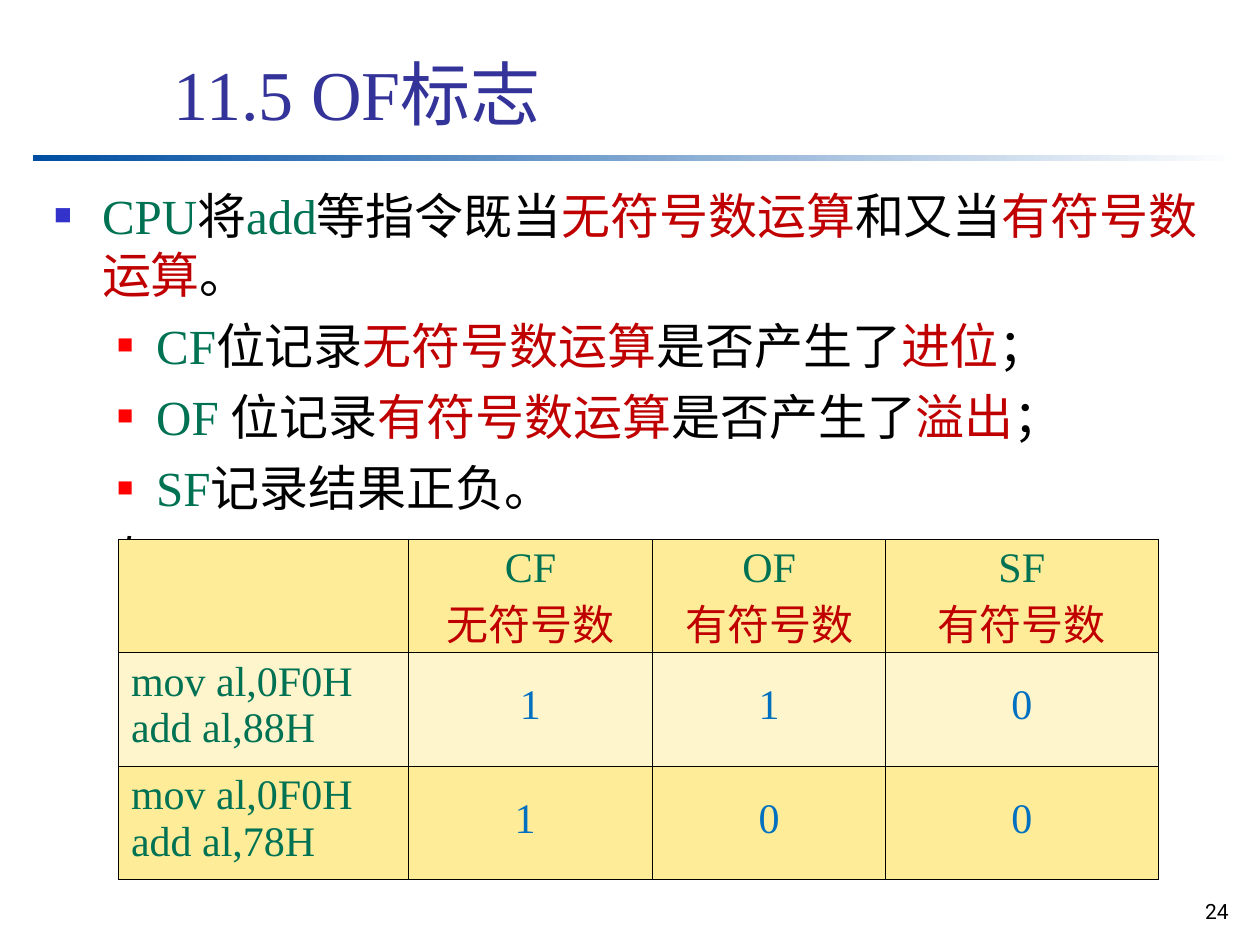
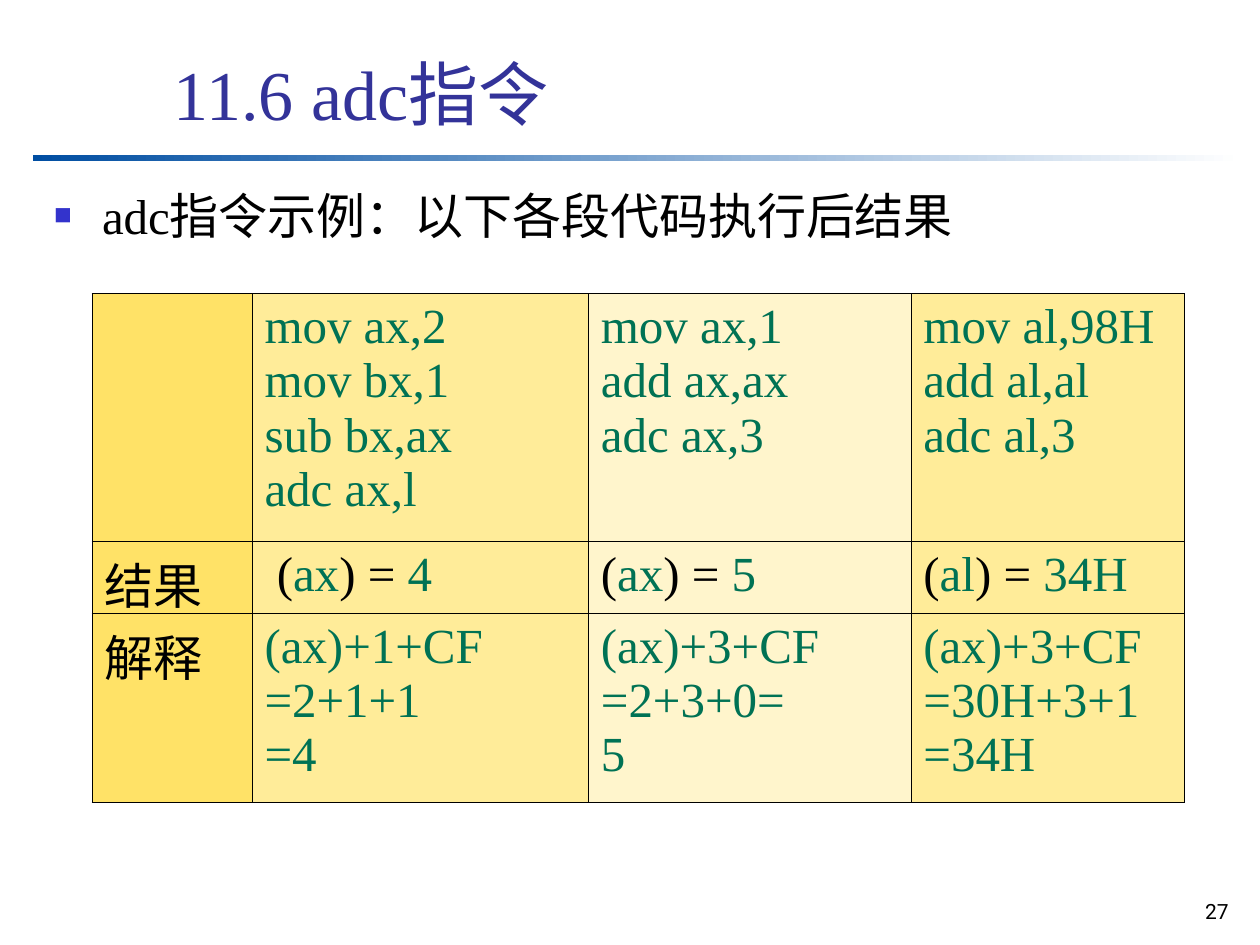
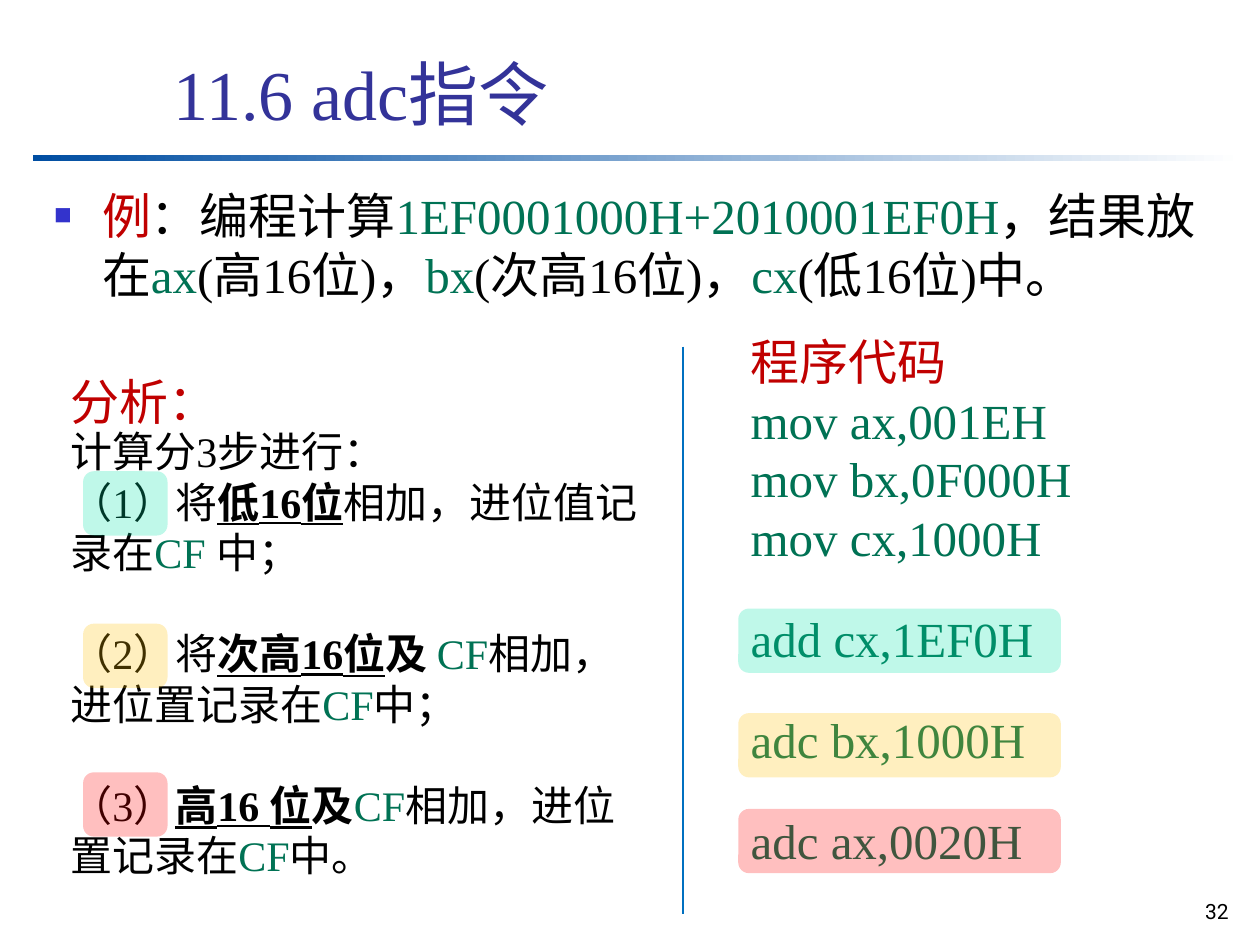
from lxml import etree
from pptx import Presentation
from pptx.dml.color import RGBColor
from pptx.enum.shapes import MSO_CONNECTOR, MSO_SHAPE
from pptx.enum.text import MSO_ANCHOR, MSO_AUTO_SIZE, PP_ALIGN
from pptx.oxml.ns import qn
from pptx.util import Inches, Pt

LEFT, CENTER, RIGHT = PP_ALIGN.LEFT, PP_ALIGN.CENTER, PP_ALIGN.RIGHT
ROUNDED, BAND = MSO_SHAPE.ROUNDED_RECTANGLE, MSO_SHAPE.RECTANGLE
FONT, CHINESE_FONT, NUMBER_FONT = "Times New Roman", "Noto Sans CJK SC", "Roboto"
BLACK, GREEN, RED, BLUE = "000000", "007254", "C00000", "0070C0"
TITLE_COLOR, BAND_COLOR = "333399", "004EA2"
GOLD, YELLOW, CREAM = "FFE267", "FFEC99", "FFF5CC"
MINT, AMBER, ROSE = "00E4A8", "FFC000", "FF0000"


def write(frame, lines, size, font=FONT):
    """Fill a text frame; a line is a list of (text, colour[, bold[, underline]])."""
    for index, spans in enumerate(lines):
        para = frame.paragraphs[0] if index == 0 else frame.add_paragraph()
        for text, color, *emphasis in spans:
            span = para.add_run()
            span.text = text
            span.font.size = Pt(size)
            span.font.name = font
            span.font.color.rgb = RGBColor.from_string(color)
            span.font.bold = len(emphasis) > 0
            span.font.underline = len(emphasis) > 1
            etree.SubElement(span.font._element, qn("a:ea"), typeface=CHINESE_FONT)


def add_grid(page, left, top, widths, heights, rows, fills, size):
    """Add a table with thin black borders and return it."""
    grid = page.shapes.add_table(
        len(heights), len(widths), Inches(left), Inches(top),
        Inches(sum(widths)), Inches(sum(heights))).table
    for column, width in zip(grid.columns, widths):
        column.width = Inches(width)
    for row, height in zip(grid.rows, heights):
        row.height = Inches(height)
    for r, row in enumerate(rows):
        for c, lines in enumerate(row):
            cell = grid.cell(r, c)
            write(cell.text_frame, lines, size)
            properties = cell._tc.get_or_add_tcPr()
            for side in ("a:lnL", "a:lnR", "a:lnT", "a:lnB"):
                border = etree.SubElement(properties, qn(side), w=str(Pt(0.45)))
                solid = etree.SubElement(border, qn("a:solidFill"))
                etree.SubElement(solid, qn("a:srgbClr"), val=BLACK)
            cell.fill.solid()
            cell.fill.fore_color.rgb = RGBColor.from_string(fills[r][c])
    return grid


deck = Presentation()
deck.slide_width, deck.slide_height = Inches(10), Inches(7.5)

# Title, number and list of each page; a list line is (level, spans)
contents = [
    ("11.5 OF标志", "24", [
        (0, [("CPU", GREEN), ("将", BLACK), ("add", GREEN), ("等指令既当", BLACK),
             ("无符号数运算", RED), ("和又当", BLACK), ("有符号数运算", RED), ("。", BLACK)]),
        (1, [("CF", GREEN), ("位记录", BLACK), ("无符号数运算", RED),
             ("是否产生了", BLACK), ("进位", RED), ("；", BLACK)]),
        (1, [("OF ", GREEN), ("位记录", BLACK), ("有符号数运算", RED),
             ("是否产生了", BLACK), ("溢出", RED), ("；", BLACK)]),
        (1, [("SF", GREEN), ("记录结果正负。", BLACK)]),
        (2, [("如：", BLACK)]),
    ]),
    ("11.6 adc指令", "27", [(0, [("adc指令示例：以下各段代码执行后结果", BLACK)])]),
    ("11.6 adc指令", "32", [
        (0, [("例", RED), ("：编程计算", BLACK), ("1EF0001000H+2010001EF0H", GREEN),
             ("，结果放在", BLACK), ("ax", GREEN), ("(高16位)，", BLACK), ("bx", GREEN),
             ("(次高16位)，", BLACK), ("cx", GREEN), ("(低16位)中。", BLACK)]),
    ]),
]
# Left margin, hanging indent, bullet colour and bullet size by level
levels = [(0.38, 0.38, "3333CC", "60000"), (0.81, 0.31, "FF0000", "55000"),
          (0.81, 0.31, None, None)]

pages = []
for title_text, number, items in contents:
    page = deck.slides.add_slide(deck.slide_layouts[1])
    pages.append(page)

    band = page.shapes.add_shape(BAND, Inches(0.26), Inches(1.23), Inches(9.6), Inches(0.05))
    band.shadow.inherit = False
    band.line.fill.background()
    band.fill.gradient()
    band.fill.gradient_angle = 0
    for stop, color, position in zip(band.fill.gradient_stops, (BAND_COLOR, "FFFFFF"), (0, 1)):
        stop.color.rgb = RGBColor.from_string(color)
        stop.position = position

    number_box = page.shapes.add_textbox(Inches(9.18), Inches(7.08), Inches(0.67), Inches(0.33))
    number_box.text_frame.word_wrap = True
    write(number_box.text_frame, [[(number, BLACK)]], 12, NUMBER_FONT)
    number_box.text_frame.paragraphs[0].alignment = RIGHT

    title, body = page.shapes.title, page.placeholders[1]
    title.left, title.top, title.width, title.height = map(Inches, (1.28, 0.18, 8.52, 0.94))
    body.left, body.top, body.width, body.height = map(Inches, (0.33, 1.42, 9.46, 5.67))
    title.text_frame.auto_size = body.text_frame.auto_size = MSO_AUTO_SIZE.NONE
    title.text_frame.vertical_anchor = MSO_ANCHOR.BOTTOM
    write(title.text_frame, [[(title_text, TITLE_COLOR)]], 40)
    title.text_frame.paragraphs[0].alignment = LEFT

    write(body.text_frame, [spans for _, spans in items], 28)
    for index, (para, (level, _)) in enumerate(zip(body.text_frame.paragraphs, items)):
        margin, hanging, color, percent = levels[level]
        para.space_before = Pt(7 if index else 0)
        properties = para._p.get_or_add_pPr()
        properties.set("marL", str(Inches(margin)))
        properties.set("indent", str(-Inches(hanging)))
        if color:
            bullet_color = etree.SubElement(properties, qn("a:buClr"))
            etree.SubElement(bullet_color, qn("a:srgbClr"), val=color)
            etree.SubElement(properties, qn("a:buSzPct"), val=percent)
            etree.SubElement(properties, qn("a:buChar"), char="■")
        else:
            etree.SubElement(properties, qn("a:buNone"))

flags_page, adc_page, example_page = pages

# Flags after two additions
flag_rows = [[[]] + [[[(flag, GREEN)], [(kind, RED)]] for flag, kind in
                     (("CF", "无符号数"), ("OF", "有符号数"), ("SF", "有符号数"))]]
for operand, bits in (("88H", ("1", "1", "0")), ("78H", ("1 ", "0", "0"))):
    code = [[("mov al,0F0H", GREEN)], [("add al," + operand, GREEN)]]
    flag_rows.append([code] + [[[(bit, BLUE)]] for bit in bits])
flag_grid = add_grid(flags_page, 0.94, 4.28, [2.3, 1.94, 1.85, 2.16], [0.9] * 3, flag_rows,
                     [[color] * 4 for color in (YELLOW, CREAM, YELLOW)], 24)
for r in range(3):
    for c in range(1, 4):
        for para in flag_grid.cell(r, c).text_frame.paragraphs:
            para.alignment = CENTER
            if r:
                para.line_spacing = 1.5

# Code, result and explanation for three adc examples
examples = [
    ("mov ax,2\nmov bx,1\nsub bx,ax\nadc ax,l", " (", "ax", "4", "(ax)+1+CF\n=2+1+1\n=4"),
    ("mov ax,1\nadd ax,ax\nadc ax,3", "(", "ax", "5", "(ax)+3+CF\n=2+3+0=\n5"),
    ("mov al,98H\nadd al,al\nadc al,3", "(", "al", "34H", "(ax)+3+CF\n=30H+3+1\n=34H"),
]
code_row, result_row, reason_row = [[]], [[[("结果", BLACK)]]], [[[("解释", BLACK)]]]
for code, opening, register, value, reason in examples:
    code_row.append([[(line, GREEN)] for line in code.split("\n")])
    result_row.append([[(opening, BLACK), (register, GREEN), (") = ", BLACK), (value, GREEN)]])
    reason_row.append([[(line, GREEN)] for line in reason.split("\n")])
add_grid(adc_page, 0.73, 2.33, [1.27, 2.67, 2.56, 2.17], [1.97, 0.57, 1.5],
         [code_row, result_row, reason_row], [[GOLD, YELLOW, CREAM, YELLOW]] * 3, 28)

# Analysis on the left, program on the right
analysis = example_page.shapes.add_textbox(Inches(0.46), Inches(2.95), Inches(4.75), Inches(4.13))
analysis.text_frame.word_wrap = True
write(analysis.text_frame, [
    [("分析：", RED)],
    [("计算分3步进行：", BLACK)],
    [("（1）将", BLACK), ("低16位", BLACK, "bold", "underline"),
     ("相加，进位值记录在", BLACK), ("CF ", GREEN), ("中；", BLACK)],
    [("（2）将", BLACK), ("次高16位", BLACK, "bold", "underline"), ("及 ", BLACK, "bold"),
     ("CF", GREEN), ("相加，进位置记录在", BLACK), ("CF", GREEN), ("中；", BLACK)],
    [("（3）", BLACK), ("高16 位", BLACK, "bold", "underline"), ("及", BLACK, "bold"),
     ("CF", GREEN), ("相加，进位置记录在", BLACK), ("CF", GREEN), ("中。", BLACK)],
], 24)
heading, introduction, *steps = analysis.text_frame.paragraphs
heading.runs[0].font.size = Pt(28)
heading.runs[0].font.name = CHINESE_FONT
heading.line_spacing = introduction.line_spacing = 0.9
for para in steps:
    para._p.get_or_add_pPr().set("hangingPunct", "0")
for para in steps[1:]:
    para.space_before = Pt(29)

program = example_page.shapes.add_textbox(Inches(5.86), Inches(2.58), Inches(3.23), Inches(4.37))
program.text_frame.word_wrap = True
code_lines = ["mov ax,001EH", "mov bx,0F000H", "mov cx,1000H",
              "add cx,1EF0H", "adc bx,1000H", "adc ax,0020H"]
write(program.text_frame, [[("程序代码", RED)]] + [[(line, GREEN)] for line in code_lines], 28)
for para in program.text_frame.paragraphs[4:]:
    para.space_before = Pt(24)

# Each step shares its colour with its instruction
for color, step_top, code_top in ((MINT, 3.74, 4.83), (AMBER, 4.95, 5.66), (ROSE, 6.13, 6.42)):
    for left, top, width in ((5.86, code_top, 2.56), (0.66, step_top, 0.67)):
        marker = example_page.shapes.add_shape(
            ROUNDED, Inches(left), Inches(top), Inches(width), Inches(0.51))
        marker.shadow.inherit = False
        marker.line.fill.background()
        marker.fill.solid()
        marker.fill.fore_color.rgb = RGBColor.from_string(color)
        tint = marker._element.spPr.find(qn("a:solidFill")).find(qn("a:srgbClr"))
        etree.SubElement(tint, qn("a:alpha"), val="25000")

divider = example_page.shapes.add_connector(
    MSO_CONNECTOR.STRAIGHT, Inches(5.42), Inches(2.75), Inches(5.42), Inches(7.25))
divider.line.color.rgb = RGBColor.from_string(BLUE)
divider.line.width = Pt(0.75)
etree.SubElement(divider._element.spPr, qn("a:effectLst"))

deck.save("out.pptx")
